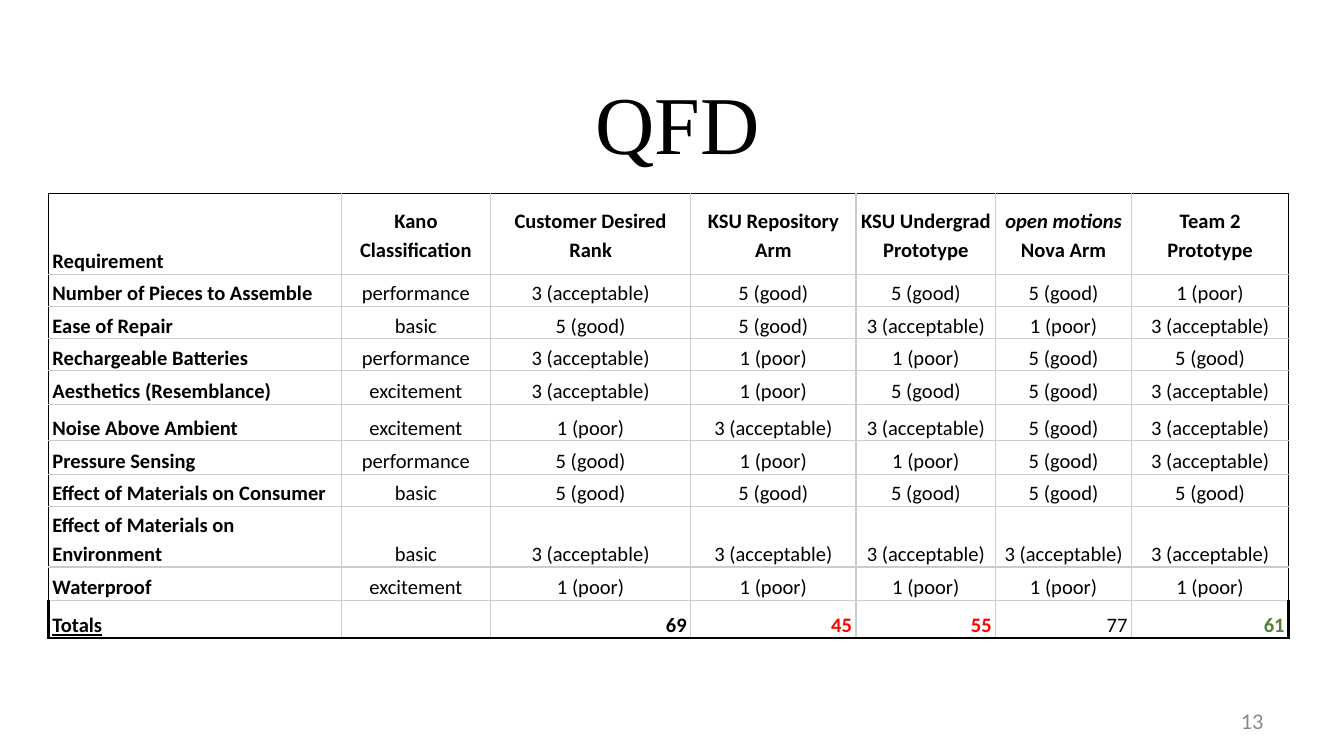
"""Builds the QFD slide: a title, a requirement scoring table and a page number."""
from dataclasses import dataclass

from lxml import etree
from pptx import Presentation
from pptx import util as u
from pptx.dml.color import RGBColor
from pptx.enum import text
from pptx.oxml.ns import qn

LEFT, CENTER, RIGHT = text.PP_ALIGN.LEFT, text.PP_ALIGN.CENTER, text.PP_ALIGN.RIGHT
MIDDLE, BOTTOM = text.MSO_ANCHOR.MIDDLE, text.MSO_ANCHOR.BOTTOM


@dataclass(frozen=True)
class Theme:
    ink: str = "000000"
    grid: str = "CCCCCC"
    low: str = "FF0000"
    team: str = "548135"
    page: str = "898989"
    heading_font: str = "Times New Roman"
    body_font: str = "Calibri"
    heading_size: float = 44
    body_size: float = 11
    page_size: float = 12
    line_spacing: float = 1.15
    thin: float = 0.75
    thick: float = 1.5


@dataclass(frozen=True)
class Box:
    left: float
    top: float
    width: float
    height: float


@dataclass(frozen=True)
class Requirement:
    name: str
    kano: str
    ranks: str
    height: float = 0.24


@dataclass(frozen=True)
class Total:
    value: str
    color: str
    bold: bool = True


THEME = Theme()
SLIDE_WIDTH = 10
SLIDE_HEIGHT = SLIDE_WIDTH * 9 / 16
TITLE = Box(0.58, 0.64, 8.92, 0.53)
PAGE = Box(7.17, 5.21, 2.33, 0.3)
TABLE_LEFT, TABLE_TOP = 0.36, 1.44
COLUMNS = (2.18, 1.11, 1.49, 1.23, 1.04, 1.01, 1.17)
HEADER_HEIGHT, TOTALS_HEIGHT = 0.6, 0.28
CELL_MARGIN = 0.03
RANKS = {"1": "1 (poor)", "3": "3 (acceptable)", "5": "5 (good)"}
HEADERS = (
    "Requirement", "Kano Classification", "Customer Desired Rank", "KSU Repository Arm",
    "KSU Undergrad Prototype", "open motions\nNova Arm", "Team 2 Prototype",
)
REQUIREMENTS = (
    Requirement("Number of Pieces to Assemble", "performance", "35551"),
    Requirement("Ease of Repair", "basic", "55313"),
    Requirement("Rechargeable Batteries", "performance", "31155"),
    Requirement("Aesthetics (Resemblance)", "excitement", "31553", 0.25),
    Requirement("Noise Above Ambient", "excitement", "13353", 0.27),
    Requirement("Pressure Sensing", "performance", "51153", 0.25),
    Requirement("Effect of Materials on Consumer", "basic", "55555"),
    Requirement("Effect of Materials on Environment", "basic", "33333", 0.45),
    Requirement("Waterproof", "excitement", "11111", 0.25),
)
TOTALS = (
    Total("69", THEME.ink), Total("45", THEME.low), Total("55", THEME.low),
    Total("77", THEME.ink, False), Total("61", THEME.team),
)


def write(frame, content: str, *, size: float = THEME.body_size, font: str = THEME.body_font,
          color: str = THEME.ink, bold: bool = False, underline: bool = False,
          italic_lines: int = 0, align=LEFT, spacing: float = 1.0) -> None:
    """Write each line of content as one formatted paragraph."""
    frame.word_wrap = True
    for index, line in enumerate(content.split("\n")):
        paragraph = frame.add_paragraph() if index else frame.paragraphs[0]
        paragraph.alignment, paragraph.line_spacing = align, spacing
        if not line:
            paragraph._p.get_or_add_endParaRPr().set("sz", str(int(size * 100)))
            continue
        run = paragraph.add_run()
        run.text = line
        run.font.size, run.font.name = u.Pt(size), font
        run.font.bold, run.font.underline = bold, underline
        run.font.italic = index < italic_lines
        run.font.color.rgb = RGBColor.from_string(color)


def add_label(slide, box: Box, content: str, **style) -> None:
    """Add a vertically centred text box."""
    label = slide.shapes.add_textbox(
        u.Inches(box.left), u.Inches(box.top), u.Inches(box.width), u.Inches(box.height))
    label.text_frame.vertical_anchor = MIDDLE
    write(label.text_frame, content, **style)


def set_border(cell, side: str, color: str, width: float) -> None:
    """Draw one side of a cell as a solid line."""
    line = etree.SubElement(cell._tc.get_or_add_tcPr(), qn(f"a:ln{side}"), w=str(u.Pt(width)))
    fill = etree.SubElement(line, qn("a:solidFill"))
    etree.SubElement(fill, qn("a:srgbClr"), val=color)


def fill_cell(table, row: int, column: int, content: str, *, anchor=BOTTOM, **style) -> None:
    """Write one cell and give it grid lines, black along the table's edge."""
    cell = table.cell(row, column)
    last_row, last_column = len(table.rows) - 1, len(table.columns) - 1
    edges = {"L": column == 0, "R": column == last_column, "T": row == 0, "B": row == last_row}
    for side, outer in edges.items():
        heavy = outer and row == last_row
        set_border(cell, side, THEME.ink if outer else THEME.grid,
                   THEME.thick if heavy else THEME.thin)
    cell.fill.background()
    cell.margin_left = cell.margin_right = u.Inches(CELL_MARGIN)
    cell.margin_top = cell.margin_bottom = 0
    cell.vertical_anchor = anchor
    write(cell.text_frame, content, spacing=THEME.line_spacing, **style)


def add_scores(slide) -> None:
    """Add the scoring table with its header, requirement and total rows."""
    heights = (HEADER_HEIGHT, *(item.height for item in REQUIREMENTS), TOTALS_HEIGHT)
    table = slide.shapes.add_table(
        len(heights), len(COLUMNS), u.Inches(TABLE_LEFT), u.Inches(TABLE_TOP),
        u.Inches(sum(COLUMNS)), u.Inches(sum(heights))).table
    table.first_row = table.horz_banding = False
    for column, width in zip(table.columns, COLUMNS):
        column.width = u.Inches(width)
    for row, height in zip(table.rows, heights):
        row.height = u.Inches(height)

    for column, header in enumerate(HEADERS):
        fill_cell(table, 0, column, header, bold=True, italic_lines=header.count("\n"),
                  anchor=MIDDLE if column else BOTTOM, align=CENTER if column else LEFT)
    for row, item in enumerate(REQUIREMENTS, 1):
        fill_cell(table, row, 0, item.name, bold=True)
        for column, value in enumerate((item.kano, *(RANKS[rank] for rank in item.ranks)), 1):
            fill_cell(table, row, column, value, align=CENTER)
    totals_row = len(heights) - 1
    fill_cell(table, totals_row, 0, "Totals", bold=True, underline=True)
    fill_cell(table, totals_row, 1, "")
    for column, total in enumerate(TOTALS, 2):
        fill_cell(table, totals_row, column, total.value, color=total.color,
                  bold=total.bold, align=RIGHT)


def main() -> None:
    """Build and save the slide."""
    deck = Presentation()
    deck.slide_width, deck.slide_height = u.Inches(SLIDE_WIDTH), u.Inches(SLIDE_HEIGHT)
    slide = deck.slides.add_slide(deck.slide_layouts[6])
    add_label(slide, TITLE, "QFD", size=THEME.heading_size, font=THEME.heading_font, align=CENTER)
    add_scores(slide)
    add_label(slide, PAGE, "13", size=THEME.page_size, color=THEME.page, align=RIGHT)
    deck.save("out.pptx")


if __name__ == "__main__":
    main()
